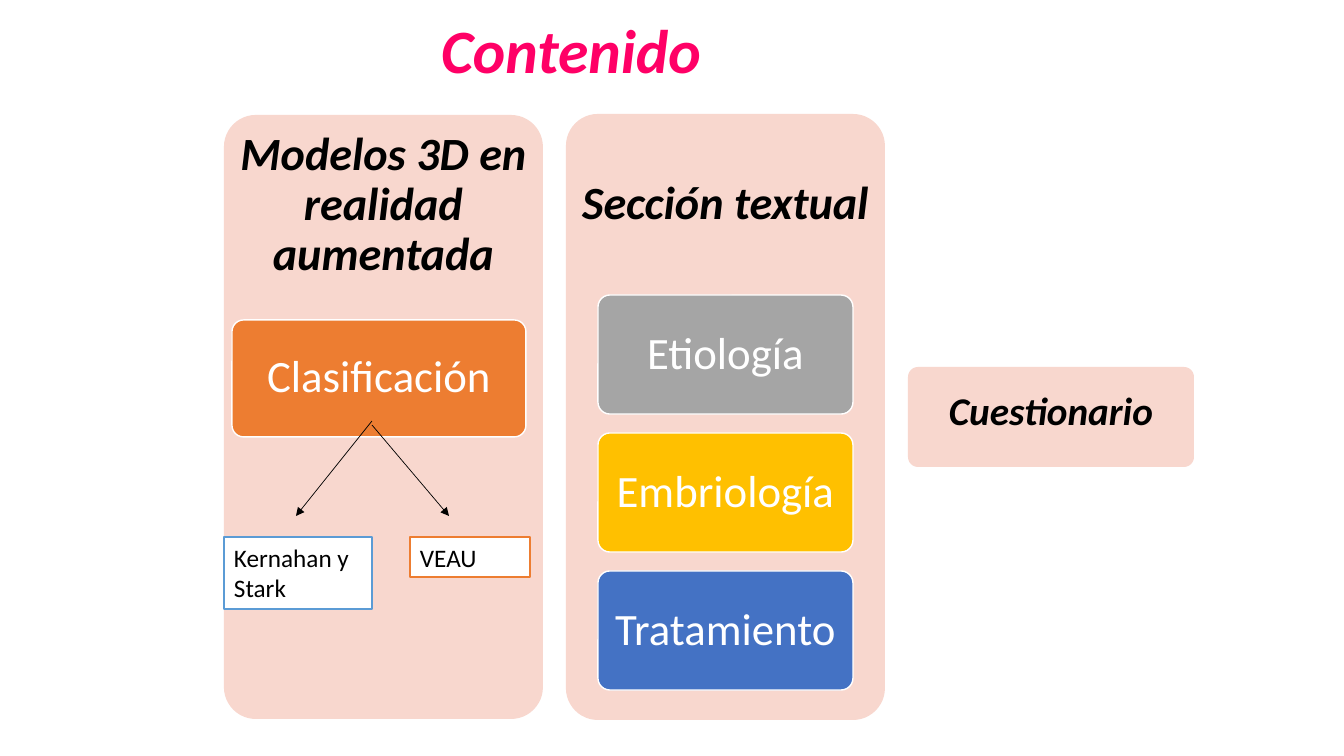
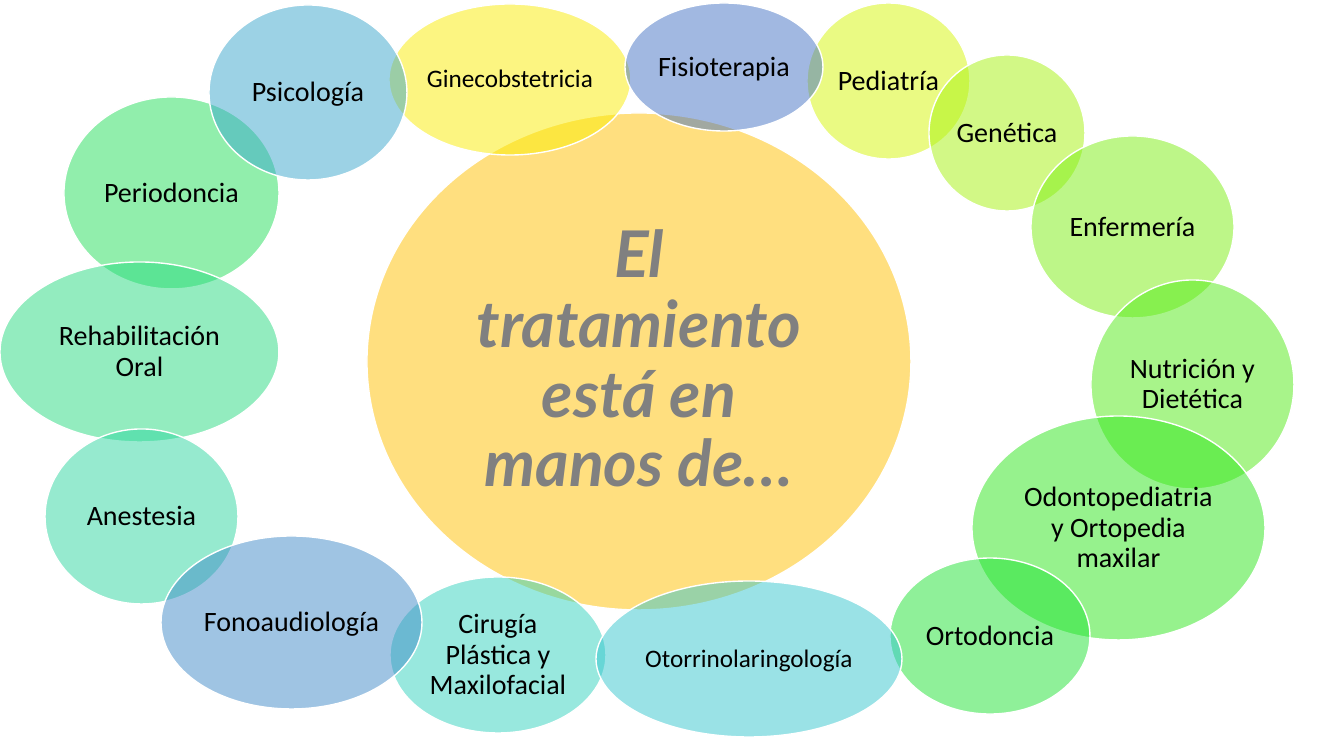
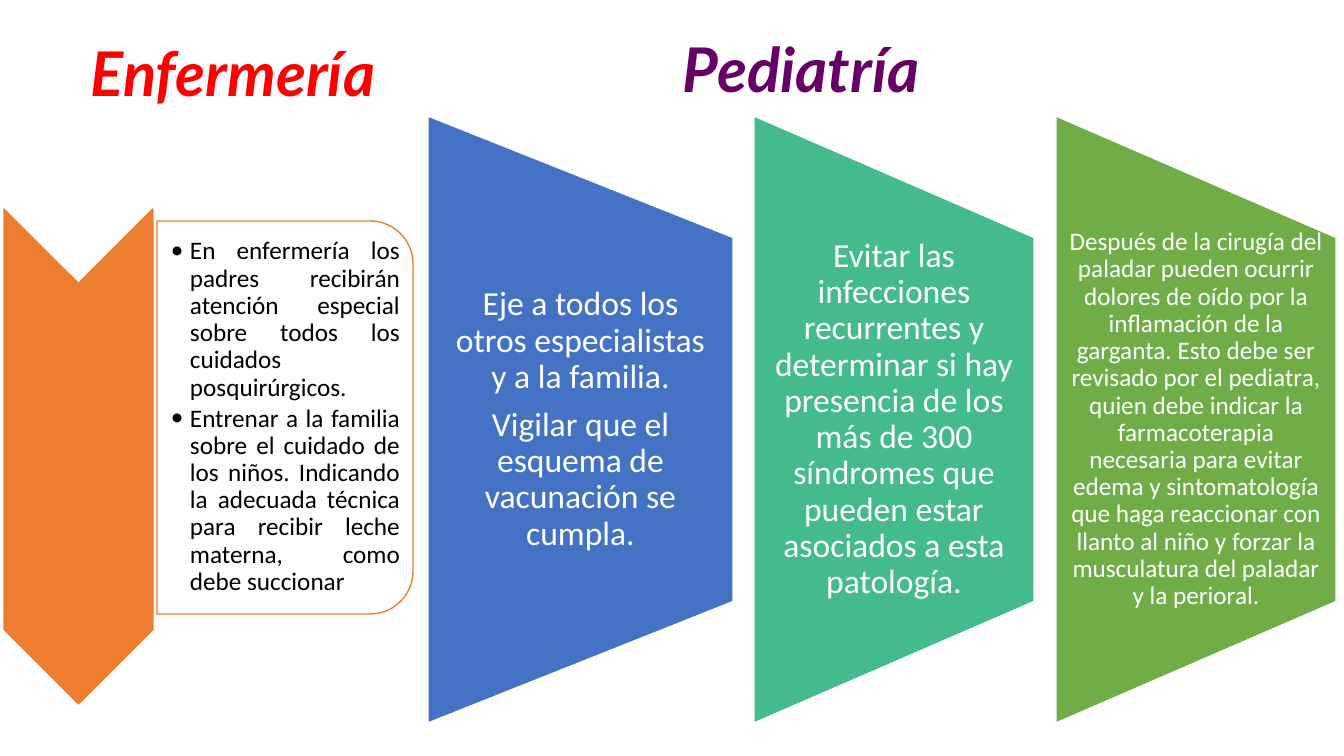
from lxml.etree import SubElement
from pptx import Presentation
from pptx.dml.color import RGBColor
from pptx.enum.shapes import MSO_CONNECTOR, MSO_SHAPE
from pptx.enum.text import MSO_ANCHOR, PP_ALIGN
from pptx.oxml.ns import qn
from pptx.util import Pt

EMU_PER_PX = 914400 / 100.8

BLACK = RGBColor(0x00, 0x00, 0x00)
WHITE = RGBColor(0xFF, 0xFF, 0xFF)
GREY = RGBColor(0x80, 0x80, 0x80)
SILVER = RGBColor(0xA5, 0xA5, 0xA5)
PEACH = RGBColor(0xF8, 0xD7, 0xCE)
ORANGE = RGBColor(0xED, 0x7D, 0x31)
GOLD = RGBColor(0xFF, 0xC0, 0x00)
BLUE = RGBColor(0x44, 0x72, 0xC4)
SKY = RGBColor(0x5B, 0x9B, 0xD5)
TEAL = RGBColor(0x43, 0xBB, 0x8D)
GREEN = RGBColor(0x70, 0xAD, 0x47)
PINK = RGBColor(0xFF, 0x00, 0x66)
PURPLE = RGBColor(0x66, 0x00, 0x66)
RED = RGBColor(0xFF, 0x00, 0x00)
SPECIALTY_COLOURS = [RGBColor.from_string(h) for h in (
    "FBED05", "D6F709", "A7F30E", "7CEF13", "53EB17", "2EE71C", "20E334", "25DF5B",
    "29DB80", "2ED7A1", "32D3BE", "37C6CF", "3BA7CC", "408BC8", "4472C4")]


def px(n):
    return round(n * EMU_PER_PX)


def write(shape, *paragraphs, size=20, color=BLACK, font="Calibri", bold=False,
          align=PP_ALIGN.CENTER, anchor=MSO_ANCHOR.MIDDLE, inset=(10, 5, 10, 5),
          spacing=0.9, after=0, bullet=None, wrap=True):
    """Fill a shape with paragraphs; bold text is also italic in this deck."""
    tf = shape.text_frame
    tf.word_wrap = wrap
    tf.vertical_anchor = anchor
    tf.margin_left, tf.margin_top, tf.margin_right, tf.margin_bottom = map(px, inset)
    for i, text in enumerate(paragraphs):
        p = tf.add_paragraph() if i else tf.paragraphs[0]
        if bullet:
            pPr = p._p.get_or_add_pPr()
            pPr.set("marL", str(px(19)))
            pPr.set("indent", str(-px(19)))
            SubElement(pPr, qn("a:buFont")).set("typeface", font)
            SubElement(pPr, qn("a:buChar")).set("char", bullet)
        p.alignment = align
        p.line_spacing = spacing
        p.space_after = Pt(after)
        r = p.add_run()
        r.text = text
        r.font.name = font
        r.font.size = Pt(size)
        r.font.bold = r.font.italic = bold
        r.font.color.rgb = color


class Deck:
    def __init__(self):
        self.prs = Presentation()
        self.prs.slide_width, self.prs.slide_height = px(1344), px(756)
        self.s = None

    def slide(self):
        self.s = self.prs.slides.add_slide(self.prs.slide_layouts[6])

    def box(self, x, y, w, h, *text, **style):
        write(self.s.shapes.add_textbox(px(x), px(y), px(w), px(h)), *text, **style)

    def title(self, x, y, w, h, text, color, font="Lato", wrap=True):
        self.box(x, y, w, h, text, size=44, color=color, font=font, bold=True,
                 align=PP_ALIGN.LEFT, wrap=wrap)

    def shape(self, kind, x, y, w, h, fill, line=None, turn=0, alpha=None):
        """Add a shape that covers the given box once it is turned by 0, 90 or 270 degrees."""
        if turn:
            x, y, w, h = x + (w - h) / 2, y + (h - w) / 2, h, w
        sp = self.s.shapes.add_shape(kind, px(x), px(y), px(w), px(h))
        sp.rotation = turn
        sp.shadow.inherit = False
        sp.fill.solid()
        sp.fill.fore_color.rgb = fill
        if alpha:
            clr = sp.fill._xPr.find(qn("a:solidFill"))[0]
            SubElement(clr, qn("a:alpha")).set("val", str(alpha * 1000))
        if line is None:
            sp.line.fill.background()
        else:
            sp.line.color.rgb = line
            sp.line.width = Pt(1)
        return sp

    def rounded(self, x, y, w, h, fill, line=None):
        sp = self.shape(MSO_SHAPE.ROUNDED_RECTANGLE, x, y, w, h, fill, line)
        sp.adjustments[0] = 0.1
        return sp

    def panel(self, x, y, w, h, heading):
        self.rounded(x, y, w, h, PEACH)
        self.box(x, y, w, 181, heading, size=33, bold=True, inset=(14,) * 4)

    def card(self, x, y, w, h, text, fill):
        write(self.rounded(x, y, w, h, fill, WHITE), text,
              size=32, color=WHITE, inset=(9, 7, 9, 7))

    def label(self, x, y, w, h, text, line):
        write(self.shape(MSO_SHAPE.RECTANGLE, x, y, w, h, WHITE, line), text, size=18,
              align=PP_ALIGN.LEFT, anchor=MSO_ANCHOR.TOP, spacing=1)

    def arrow(self, x1, y1, x2, y2):
        c = self.s.shapes.add_connector(MSO_CONNECTOR.STRAIGHT, px(x1), px(y1), px(x2), px(y2))
        c.line.color.rgb = BLACK
        c.line.width = Pt(0.5)
        SubElement(c.line._get_or_add_ln(), qn("a:tailEnd")).set("type", "triangle")
        SubElement(c._element.spPr, qn("a:effectLst"))

    def bubble(self, x, y, w, h, text, fill, inset=3, **style):
        write(self.shape(MSO_SHAPE.OVAL, x, y, w, h, fill, WHITE, alpha=50), text,
              inset=(inset,) * 4, **style)

    def trapezoid(self, x, w, fill, *text, size=24, inset=17):
        top, height = 116, 607
        self.shape(MSO_SHAPE.FLOWCHART_MANUAL_OPERATION, x, top, w, height, fill, WHITE, turn=270)
        self.box(x, top + height * 0.2, w, height * 0.6, *text, size=size, color=WHITE,
                 inset=(inset, 0, inset, 0), after=8.4)


def contents(d):
    d.slide()
    d.title(431, -19, 1159, 146, "Contenido", PINK, font="Calibri")
    d.panel(224, 115, 319, 604, "Modelos 3D en realidad aumentada")
    d.card(232, 320, 294, 117, "Clasificación", ORANGE)
    d.panel(566, 114, 319, 606, "Sección textual")
    topics = [("Etiología", SILVER), ("Embriología", GOLD), ("Tratamiento", BLUE)]
    for i, (text, fill) in enumerate(topics):
        d.card(598, 295 + 138 * i, 255, 119, text, fill)
    write(d.rounded(908, 367, 286, 100, PEACH), "Cuestionario",
          size=28, bold=True, inset=(12, 12, 12, 20))
    d.arrow(372, 421, 296, 516)
    d.arrow(372, 425, 449, 516)
    d.label(224, 537, 148, 72, "Kernahan y Stark", SKY)
    d.label(410, 537, 120, 40, "VEAU", ORANGE)


def specialties(d):
    d.slide()
    d.bubble(367, 113, 544, 497, "El tratamiento está en manos de…", GOLD, inset=6,
             size=46, color=GREY, font="Lato", bold=True)
    long_word = {"size": 18, "inset": 0}
    bubbles = [
        (389, 4, 242, 151, "Ginecobstetricia", long_word),
        (807, 3, 163, 156, "Pediatría", {}),
        (929, 55, 156, 156, "Genética", {}),
        (1031, 136, 203, 182, "Enfermería", {}),
        (1091, 280, 203, 209, "Nutrición y Dietética", {}),
        (972, 416, 293, 224, "Odontopediatria y Ortopedia maxilar", {}),
        (890, 558, 200, 156, "Ortodoncia", {}),
        (64, 97, 215, 192, "Periodoncia", {}),
        (0, 262, 279, 180, "Rehabilitación Oral", {}),
        (45, 429, 193, 175, "Anestesia", {}),
        (390, 577, 216, 156, "Cirugía Plástica y Maxilofacial", {}),
        (596, 581, 306, 156, "Otorrinolaringología", long_word),
        (209, 5, 198, 175, "Psicología", {}),
        (161, 536, 261, 173, "Fonoaudiología", {}),
        (625, 3, 198, 128, "Fisioterapia", {}),
    ]
    for (x, y, w, h, text, style), fill in zip(bubbles, SPECIALTY_COLOURS):
        d.bubble(x, y, w, h, text, fill, **style)


def nursing_and_paediatrics(d):
    d.slide()
    d.title(673, 0, 297, 146, "Pediatría", PURPLE)
    d.trapezoid(428, 305, BLUE,
                "Eje a todos los otros especialistas y a la familia.",
                "Vigilar que el esquema de vacunación se cumpla.")
    d.trapezoid(754, 280, TEAL,
                "Evitar las infecciones recurrentes y determinar si hay presencia de los más "
                "de 300 síndromes que pueden estar asociados a esta patología.")
    d.trapezoid(1056, 280, GREEN,
                "Después de la cirugía del paladar pueden ocurrir dolores de oído por la "
                "inflamación de la garganta. Esto debe ser revisado por el pediatra, quien debe "
                "indicar la farmacoterapia necesaria para evitar edema y sintomatología que haga "
                "reaccionar con llanto al niño y forzar la musculatura del paladar y la perioral.",
                size=18, inset=12)
    d.title(81, 34, 305, 85, "Enfermería", RED, wrap=False)
    d.shape(MSO_SHAPE.CHEVRON, 4, 209, 149, 495, ORANGE, ORANGE, turn=90)
    d.shape(MSO_SHAPE.ROUND_2_SAME_RECTANGLE, 157, 221, 256, 393, WHITE, ORANGE,
            turn=90, alpha=90)
    d.box(157, 233, 244, 368,
          "En enfermería los padres recibirán atención especial sobre todos los cuidados "
          "posquirúrgicos.",
          "Entrenar a la familia sobre el cuidado de los niños. Indicando la adecuada técnica "
          "para recibir leche materna, como debe succionar",
          size=18, align=PP_ALIGN.JUSTIFY, inset=(14, 1, 1, 1), after=2.7, bullet="•")


def main():
    d = Deck()
    contents(d)
    specialties(d)
    nursing_and_paediatrics(d)
    d.prs.save("out.pptx")


if __name__ == "__main__":
    main()
